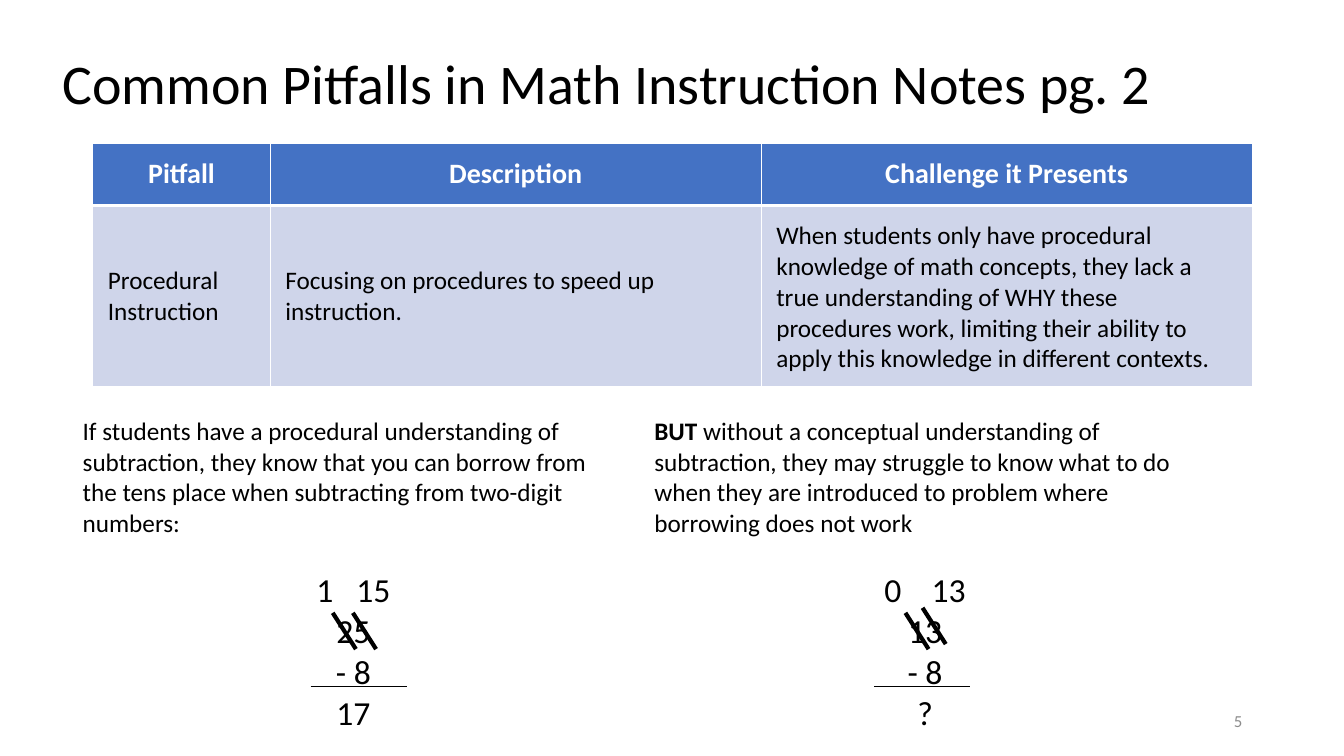
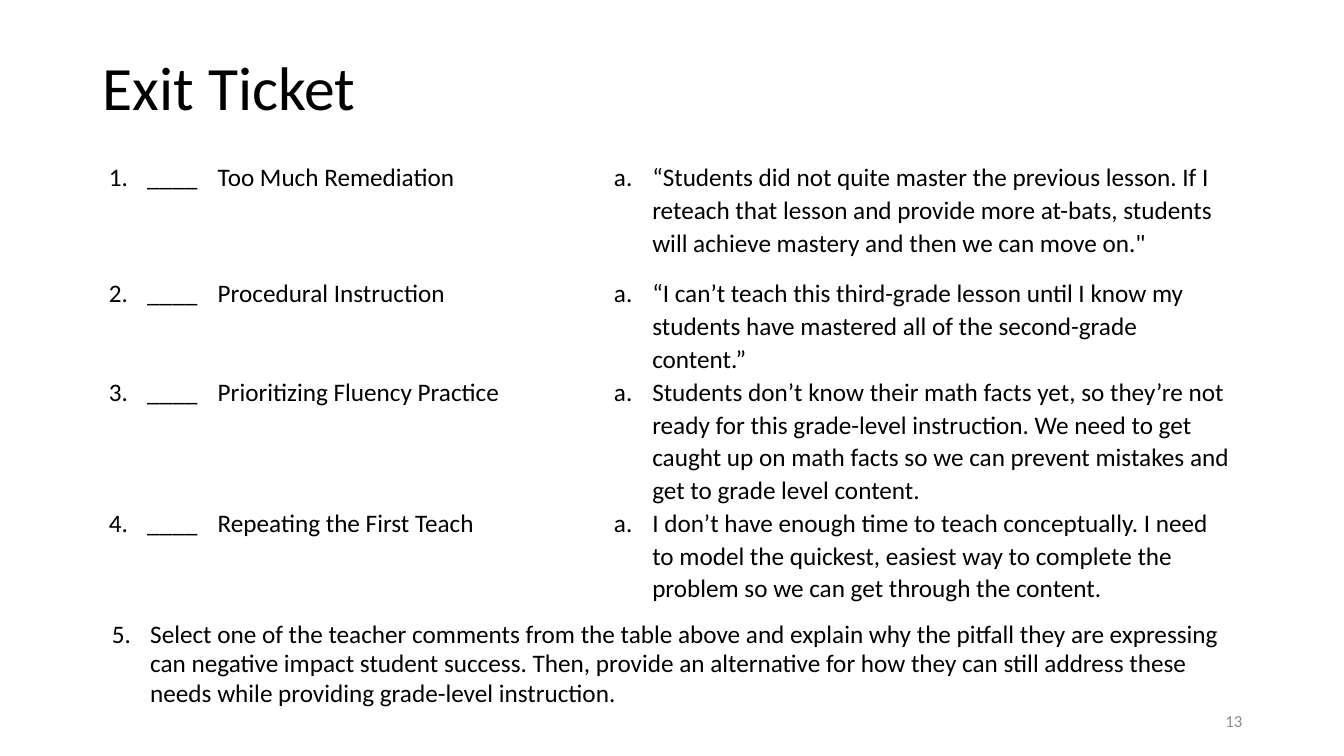
from lxml import etree
from pptx import Presentation
from pptx.dml.color import RGBColor
from pptx.enum.shapes import MSO_CONNECTOR
from pptx.enum.text import MSO_ANCHOR, MSO_AUTO_SIZE, PP_ALIGN
from pptx.oxml.ns import qn
from pptx.util import Inches, Pt

STRAIGHT = MSO_CONNECTOR.STRAIGHT
TOP, MIDDLE = MSO_ANCHOR.TOP, MSO_ANCHOR.MIDDLE
LEFT, CENTER, RIGHT = PP_ALIGN.LEFT, PP_ALIGN.CENTER, PP_ALIGN.RIGHT
NO_AUTOFIT = MSO_AUTO_SIZE.NONE

FONT = "Calibri"
BLACK, WHITE, GRAY = "000000", "FFFFFF", "8C8C8C"
HEADER_BLUE, BODY_BLUE = "4472C4", "CFD5EA"
TITLE_ONLY, TITLE_AND_BODY = 5, 1
HANGING = Inches(0.38)
DIGIT_SIZE = 24
SPACE_WIDTH = 0.226  # width of a space in ems

PITFALL_HEADERS = ["Pitfall", "Description", "Challenge it Presents"]
PITFALL_ROW = [
    "Procedural Instruction",
    "Focusing on procedures to speed up instruction.",
    "When students only have procedural knowledge of math concepts, they lack a true "
    "understanding of WHY these procedures work, limiting their ability to apply this "
    "knowledge in different contexts.",
]
# Explanation as (text, bold) runs, borrowed digits, spaces between them, lines below
SUBTRACTIONS = [
    ([("If students have a procedural understanding of subtraction, they know that you can "
       "borrow from the tens place when subtracting from two-digit numbers:", False)],
     ("1", "15"), 3, ["25", "- 8", "17"]),
    ([("BUT ", True),
      ("without a conceptual understanding of subtraction, they may struggle to know what to "
       "do when they are introduced to problem where borrowing does not work", False)],
     ("0", "13"), 4, ["13", "- 8", "?"]),
]
SUM_LINES = [(3.08, 4.04), (8.67, 9.62)]
STRIKES = [(3.3, 6.08), (3.5, 6.08), (8.98, 6.08), (9.15, 6.03)]

MATCHES = [
    ("Too Much Remediation",
     "“Students did not quite master the previous lesson. If I reteach that lesson and "
     "provide more at-bats, students will achieve mastery and then we can move on.\""),
    ("Procedural Instruction",
     "“I can’t teach this third-grade lesson until I know my students have mastered all of "
     "the second-grade content.”"),
    ("Prioritizing Fluency Practice",
     "Students don’t know their math facts yet, so they’re not ready for this grade-level "
     "instruction. We need to get caught up on math facts so we can prevent mistakes and get "
     "to grade level content."),
    ("Repeating the First Teach",
     "I don’t have enough time to teach conceptually. I need to model the quickest, easiest "
     "way to complete the problem so we can get through the content."),
]
FINAL_QUESTION = (
    "Select one of the teacher comments from the table above and explain why the pitfall they "
    "are expressing can negative impact student success. Then, provide an alternative for how "
    "they can still address these needs while providing grade-level instruction.")


def color(value):
    return RGBColor.from_string(value)


def add_run(paragraph, text, size=18, fill=BLACK, bold=False):
    run = paragraph.add_run()
    run.text = text
    formats = {"name": FONT, "size": Pt(size), "bold": bold}
    for name, value in formats.items():
        setattr(run.font, name, value)
    run.font.color.rgb = color(fill)
    return run


def format_paragraph(paragraph, align=LEFT, spacing=1.0, after=0):
    formats = {"alignment": align, "line_spacing": spacing,
               "space_before": Pt(0), "space_after": Pt(after)}
    for name, value in formats.items():
        setattr(paragraph, name, value)


def number_paragraph(paragraph, start=1, scheme="arabicPeriod"):
    """Give the paragraph a hanging automatic number or letter."""
    properties = paragraph._p.get_or_add_pPr()
    properties.set("marL", str(HANGING))
    properties.set("indent", str(-HANGING))
    etree.SubElement(properties, qn("a:buFont"), typeface="+mj-lt")
    etree.SubElement(properties, qn("a:buAutoNum"), type=scheme, startAt=str(start))


def place(shape, left, top, width, height):
    box = {"left": left, "top": top, "width": width, "height": height}
    for name, value in box.items():
        setattr(shape, name, Inches(value))


def add_page_number(slide, number):
    box = slide.shapes.add_textbox(Inches(9.42), Inches(6.95), Inches(3), Inches(0.4))
    box.text_frame.word_wrap = True
    box.text_frame.vertical_anchor = MIDDLE
    paragraph = box.text_frame.paragraphs[0]
    format_paragraph(paragraph, RIGHT)
    add_run(paragraph, str(number), 12, GRAY)


def add_titled_slide(presentation, layout, title, left, top, width, size, number):
    slide = presentation.slides.add_slide(presentation.slide_layouts[layout])
    shape = slide.shapes.title
    place(shape, left, top, width, 1.45)
    shape.text_frame.auto_size = NO_AUTOFIT
    shape.text_frame.vertical_anchor = MIDDLE
    paragraph = shape.text_frame.paragraphs[0]
    format_paragraph(paragraph, spacing=0.9)
    add_run(paragraph, title, size)
    add_page_number(slide, number)
    return slide


def add_table(slide, left, top, columns, rows, header=False):
    frame = slide.shapes.add_table(len(rows), len(columns), Inches(left), Inches(top),
                                   Inches(sum(columns)), Inches(sum(rows)))
    table = frame.table
    table.first_row = header
    table.horz_banding = False
    for column, width in zip(table.columns, columns):
        column.width = Inches(width)
    for row, height in zip(table.rows, rows):
        row.height = Inches(height)
    return table


def format_cell(cell, fill=None, anchor=TOP, margins=(0.15, 0.15)):
    """Set fill, anchor and (side, top and bottom) margins."""
    side, vertical = (Inches(margin) for margin in margins)
    formats = {"margin_left": side, "margin_right": side, "margin_top": vertical,
               "margin_bottom": vertical, "vertical_anchor": anchor}
    for name, value in formats.items():
        setattr(cell, name, value)
    if fill:
        cell.fill.solid()
        cell.fill.fore_color.rgb = color(fill)
    else:
        cell.fill.background()


def add_cell_borders(cell, bottom):
    """Draw white borders; call before the cell is filled."""
    properties = cell._tc.get_or_add_tcPr()
    for tag, width in (("lnL", 1), ("lnR", 1), ("lnT", 1), ("lnB", bottom)):
        line = etree.SubElement(properties, qn("a:" + tag), w=str(Pt(width)))
        solid = etree.SubElement(line, qn("a:solidFill"))
        etree.SubElement(solid, qn("a:srgbClr"), val=WHITE)


def add_line(slide, start, end, width):
    line = slide.shapes.add_connector(STRAIGHT, *(Inches(value) for value in start + end))
    line.line.color.rgb = color(BLACK)
    line.line.width = Pt(width)
    etree.SubElement(line._element.spPr, qn("a:effectLst"))


def add_pitfall_table(slide):
    table = add_table(slide, 0.92, 1.42, [1.76, 4.87, 4.87], [0.62, 1.8], header=True)
    for column, (header, text) in enumerate(zip(PITFALL_HEADERS, PITFALL_ROW)):
        head, body = table.cell(0, column), table.cell(1, column)
        add_cell_borders(head, 3)
        format_cell(head, HEADER_BLUE, MIDDLE, (0.1, 0.05))
        format_paragraph(head.text_frame.paragraphs[0], CENTER)
        add_run(head.text_frame.paragraphs[0], header, 20, WHITE, True)
        add_cell_borders(body, 1)
        format_cell(body, BODY_BLUE, MIDDLE)
        format_paragraph(body.text_frame.paragraphs[0])
        add_run(body.text_frame.paragraphs[0], text)


def add_subtraction_table(slide):
    table = add_table(slide, 0.67, 3.98, [5.67, 5.67], [3.45])
    for column, (explanation, borrowed, spaces, lines) in enumerate(SUBTRACTIONS):
        cell = table.cell(0, column)
        format_cell(cell)
        frame = cell.text_frame
        format_paragraph(frame.paragraphs[0], after=22)
        for text, bold in explanation:
            add_run(frame.paragraphs[0], text, bold=bold)
        digits = frame.add_paragraph()
        format_paragraph(digits, CENTER)
        add_run(digits, borrowed[0], DIGIT_SIZE)
        gap = add_run(digits, " ", DIGIT_SIZE)
        extra = (spaces - 1) * SPACE_WIDTH * DIGIT_SIZE
        gap.font._element.set("spc", str(round(extra * 100)))
        add_run(digits, borrowed[1], DIGIT_SIZE)
        for text in lines:
            paragraph = frame.add_paragraph()
            format_paragraph(paragraph, CENTER)
            add_run(paragraph, text, DIGIT_SIZE)
    for left, right in SUM_LINES:
        add_line(slide, (left, 6.81), (right, 6.81), 1)
    for left, top in STRIKES:
        add_line(slide, (left, top), (left + 0.23, top + 0.36), 3)


def add_matching_table(slide):
    table = add_table(slide, 1.01, 1.59, [1.08, 3.93, 6.29], [1.15, 0.98, 1.3, 0.98])
    for row, (pitfall, comment) in enumerate(MATCHES):
        for column, text in enumerate(["____", pitfall, comment]):
            cell = table.cell(row, column)
            format_cell(cell, margins=(0.07, 0))
            paragraph = cell.text_frame.paragraphs[0]
            format_paragraph(paragraph, spacing=1.07)
            if column == 0:
                number_paragraph(paragraph, row + 1)
            elif column == 2:
                number_paragraph(paragraph, scheme="alphaLcPeriod")
            add_run(paragraph, text)


def add_final_question(slide):
    body = slide.placeholders[1]
    place(body, 1.01, 6.1, 11.2, 1.05)
    body.text_frame.auto_size = NO_AUTOFIT
    paragraph = body.text_frame.paragraphs[0]
    format_paragraph(paragraph, spacing=0.97)
    number_paragraph(paragraph, len(MATCHES) + 1)
    add_run(paragraph, FINAL_QUESTION)


def main():
    presentation = Presentation()
    presentation.slide_width, presentation.slide_height = Inches(13.33), Inches(7.5)

    pitfalls = add_titled_slide(presentation, TITLE_ONLY,
                                "Common Pitfalls in Math Instruction Notes pg. 2",
                                0.52, 0.13, 11.5, 40, 5)
    add_pitfall_table(pitfalls)
    add_subtraction_table(pitfalls)

    ticket = add_titled_slide(presentation, TITLE_AND_BODY, "Exit Ticket",
                              0.92, 0.17, 11.5, 44, 13)
    add_matching_table(ticket)
    add_final_question(ticket)

    presentation.save("out.pptx")


if __name__ == "__main__":
    main()
